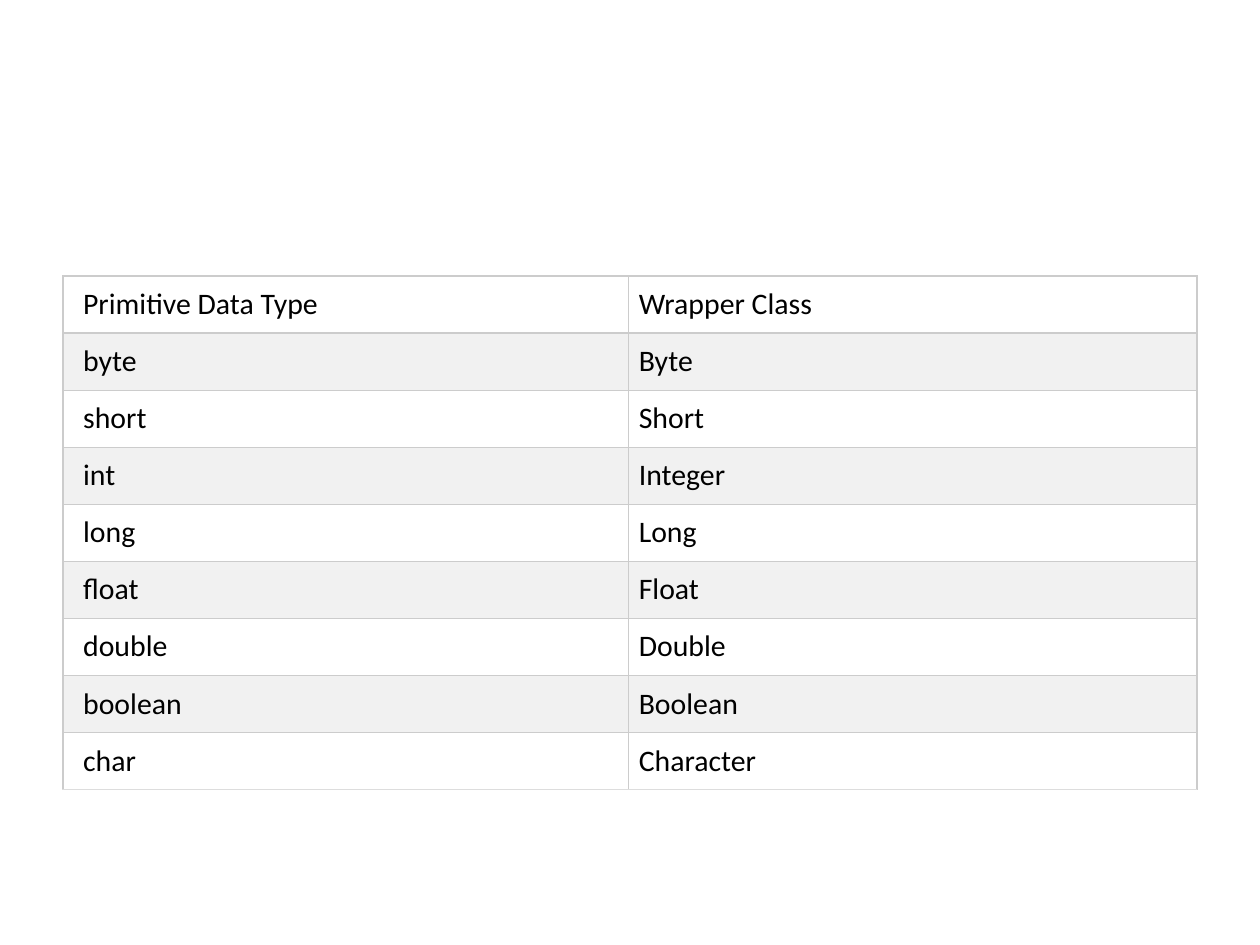
from dataclasses import dataclass

from lxml.etree import SubElement
from pptx import Presentation
from pptx.dml.color import RGBColor
from pptx.enum.text import MSO_ANCHOR
from pptx.oxml.ns import qn
from pptx.util import Inches, Pt


@dataclass(frozen=True)
class Theme:
    font: str = "Calibri"
    size: float = 17
    text: str = "000000"
    row_fills: tuple = ("FFFFFF", "F1F1F1")
    border: str = "CCCCCC"
    bottom_border: str = "DDDDDD"
    border_width: float = 0.75


THEME = Theme()
BLANK_LAYOUT = 6
PADDING = 0.08
FIRST_COLUMN_INDENT = 0.16
COLUMN_WIDTHS = (4.49, 4.51)
TABLE_HEIGHT = 4.08
TYPE_PAIRS = (
    ("Primitive Data Type", "Wrapper Class"),
    ("byte", "Byte"),
    ("short", "Short"),
    ("int", "Integer"),
    ("long", "Long"),
    ("float", "Float"),
    ("double", "Double"),
    ("boolean", "Boolean"),
    ("char", "Character"),
)


def set_borders(cell, bottom_color):
    """Outline a cell; call before its fill, which must follow the lines."""
    properties = cell._tc.get_or_add_tcPr()
    sides = {side: THEME.border for side in ("lnL", "lnR", "lnT")}
    sides["lnB"] = bottom_color
    for side, color in sides.items():
        line = SubElement(properties, qn(f"a:{side}"), w=str(Pt(THEME.border_width)))
        fill = SubElement(line, qn("a:solidFill"))
        SubElement(fill, qn("a:srgbClr"), val=color)


def fill_cell(cell, text, left_inset, fill_color, bottom_color):
    set_borders(cell, bottom_color)
    cell.fill.solid()
    cell.fill.fore_color.rgb = RGBColor.from_string(fill_color)
    cell.margin_left = Inches(left_inset)
    cell.margin_right = cell.margin_top = cell.margin_bottom = Inches(PADDING)
    cell.vertical_anchor = MSO_ANCHOR.TOP
    cell.text = text
    font = cell.text_frame.paragraphs[0].font
    font.name = THEME.font
    font.size = Pt(THEME.size)
    font.bold = False
    font.color.rgb = RGBColor.from_string(THEME.text)


def add_type_table(slide):
    table = slide.shapes.add_table(
        len(TYPE_PAIRS), len(COLUMN_WIDTHS),
        Inches(0.5), Inches(2.19), Inches(sum(COLUMN_WIDTHS)), Inches(TABLE_HEIGHT),
    ).table
    table.first_row = table.horz_banding = False
    for column, width in zip(table.columns, COLUMN_WIDTHS):
        column.width = Inches(width)

    last_row = len(TYPE_PAIRS) - 1
    for row, pair in enumerate(TYPE_PAIRS):
        fill_color = THEME.row_fills[row % 2]
        bottom_color = THEME.bottom_border if row == last_row else THEME.border
        for column, text in enumerate(pair):
            left_inset = PADDING if column else FIRST_COLUMN_INDENT
            fill_cell(table.cell(row, column), text, left_inset, fill_color, bottom_color)


def main():
    presentation = Presentation()
    presentation.slide_width = Inches(10)
    presentation.slide_height = Inches(7.5)
    slide = presentation.slides.add_slide(presentation.slide_layouts[BLANK_LAYOUT])
    add_type_table(slide)
    presentation.save("out.pptx")


if __name__ == "__main__":
    main()
